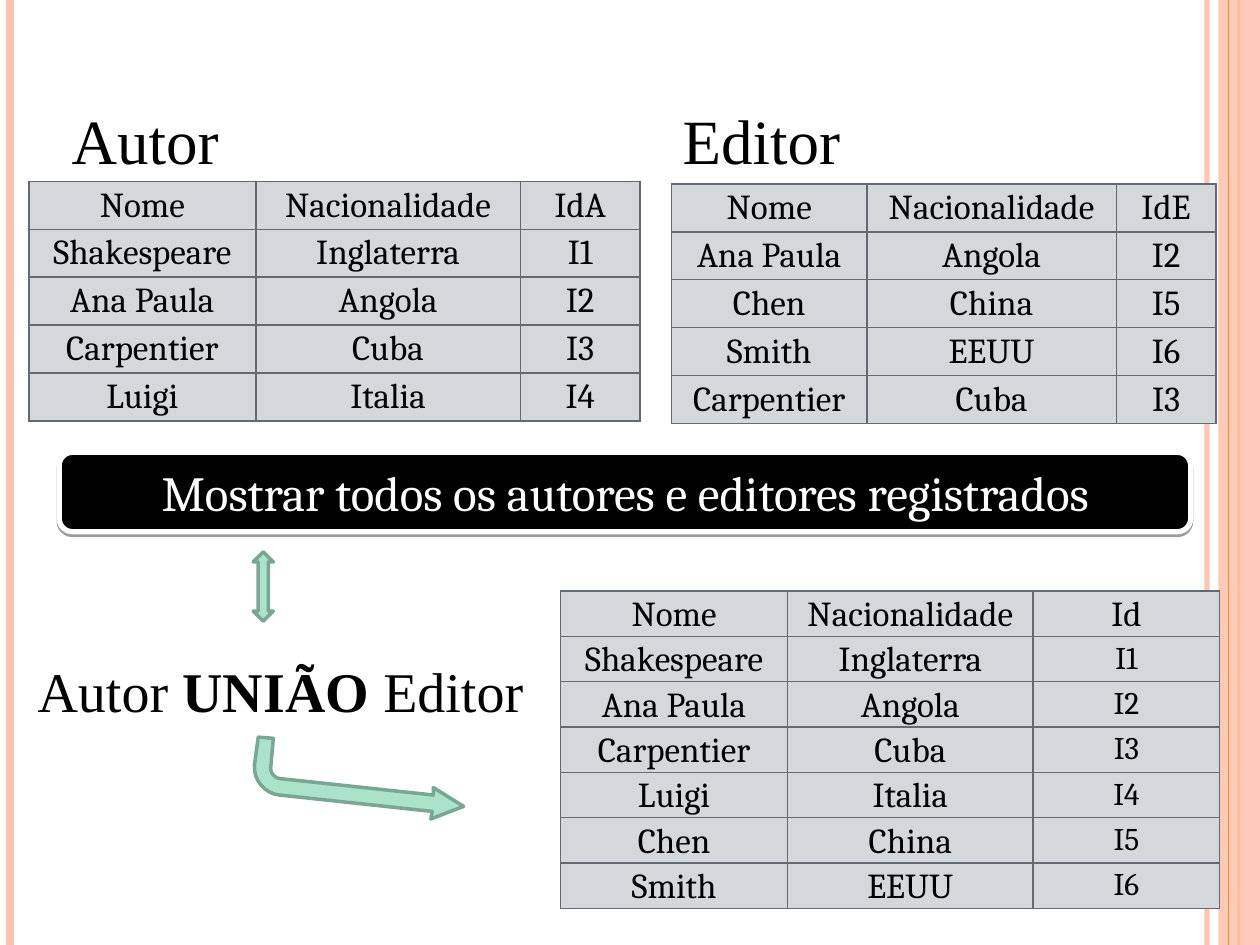
import lxml.etree
import pptx
import pptx.dml.color
import pptx.enum.shapes
import pptx.enum.text
import pptx.oxml.ns
import pptx.util

Inches = pptx.util.Inches
Pt = pptx.util.Pt
qn = pptx.oxml.ns.qn
Shape = pptx.enum.shapes.MSO_SHAPE
Align = pptx.enum.text.PP_ALIGN
Anchor = pptx.enum.text.MSO_ANCHOR

COLORS = {
    "stripe": "FEC3AE",
    "accent": "FE8637",
    "cell": "D5D8DB",
    "border": "636A74",
    "black": "000000",
    "white": "FFFFFF",
    "arrow": "AAE2CA",
    "arrow_edge": "7CA694",
}


def rgb(name):
    return pptx.dml.color.RGBColor.from_string(COLORS[name])


def child(parent, tag, **attributes):
    return lxml.etree.SubElement(
        parent, qn(tag), {key: str(value) for key, value in attributes.items()}
    )


def apply(target, values):
    for key, value in values.items():
        setattr(target, key, value)


def fade(element, percent):
    for color in element.iter(qn("a:srgbClr")):
        child(color, "a:alpha", val=percent * 1000)


def bezier(start, first, second, end, steps=8):
    weights = [step / steps for step in range(1, steps + 1)]
    return [
        tuple(
            (1 - t) ** 3 * a + 3 * (1 - t) ** 2 * t * b
            + 3 * (1 - t) * t ** 2 * c + t ** 3 * d
            for a, b, c, d in zip(start, first, second, end)
        )
        for t in weights
    ]


class SlideBuilder:
    serif = "Times New Roman"
    body = "Cambria"
    cell_margins = {
        "margin_left": Inches(0.05),
        "margin_right": Inches(0.05),
        "margin_top": Inches(0.06),
        "margin_bottom": Inches(0),
    }

    def __init__(self, slide):
        self.slide = slide

    def add_text(self, paragraph, text, size, font, color="black", bold=False):
        run = paragraph.add_run()
        run.text = text
        apply(run.font, {"size": Pt(size), "name": font, "bold": bold})
        run.font.color.rgb = rgb(color)

    def stripe(self, x, color, width, opacity=100):
        line = self.slide.shapes.add_connector(
            pptx.enum.shapes.MSO_CONNECTOR.STRAIGHT,
            Inches(x), Inches(0), Inches(x), Inches(7.5),
        )
        line.line.color.rgb = rgb(color)
        line.line.width = Pt(width)
        properties = line._element.spPr
        if opacity < 100:
            fade(properties, opacity)
        child(properties, "a:effectLst")

    def paint(self, shape, fill, edge=None, width=0):
        shape.shadow.inherit = False
        shape.fill.solid()
        shape.fill.fore_color.rgb = rgb(fill)
        if edge:
            shape.line.color.rgb = rgb(edge)
            shape.line.width = Pt(width)
        else:
            shape.line.fill.background()
        return shape

    def shape(self, kind, box, fill, edge=None, width=0):
        shape = self.slide.shapes.add_shape(kind, *map(Inches, box))
        return self.paint(shape, fill, edge, width)

    def outline(self, points, fill, edge, width):
        start, *rest = [tuple(map(Inches, point)) for point in points]
        builder = self.slide.shapes.build_freeform(*start)
        builder.add_line_segments(rest, close=True)
        return self.paint(builder.convert_to_shape(), fill, edge, width)

    def label(self, box, size, parts):
        frame = self.slide.shapes.add_textbox(*map(Inches, box)).text_frame
        frame.word_wrap = True
        for text, bold in parts:
            self.add_text(frame.paragraphs[0], text, size, self.serif, bold=bold)

    def banner(self, box, text):
        banner = self.shape(Shape.ROUNDED_RECTANGLE, box, "black", "white", 3)
        effects = banner._element.spPr.find(qn("a:effectLst"))
        shadow = child(effects, "a:outerShdw", blurRad=0, dist=Pt(1.6),
                       dir=90 * 60000, rotWithShape=0)
        child(shadow, "a:srgbClr", val=COLORS["black"])
        fade(shadow, 38)
        frame = banner.text_frame
        apply(frame, {"word_wrap": True, "vertical_anchor": Anchor.MIDDLE})
        frame.paragraphs[0].alignment = Align.CENTER
        self.add_text(frame.paragraphs[0], text, 28, self.body, "white")

    def cell(self, cell, text, size):
        apply(cell, self.cell_margins)
        properties = cell._tc.get_or_add_tcPr()
        for side in ("a:lnL", "a:lnR", "a:lnT", "a:lnB"):
            border = child(properties, side, w=Pt(1))
            child(child(border, "a:solidFill"), "a:srgbClr", val=COLORS["border"])
        cell.fill.solid()
        cell.fill.fore_color.rgb = rgb("cell")
        paragraph = cell.text_frame.paragraphs[0]
        apply(paragraph, {"alignment": Align.CENTER, "line_spacing": 0.87})
        self.add_text(paragraph, text, size, self.body)

    def table(self, left, top, widths, row_height, header, records, id_size=20):
        rows = [header, *records]
        table = self.slide.shapes.add_table(
            len(rows), len(widths), Inches(left), Inches(top),
            Inches(sum(widths)), Inches(row_height * len(rows)),
        ).table
        apply(table, {"first_row": False, "horz_banding": False})
        for column, width in zip(table.columns, widths):
            column.width = Inches(width)
        for r, row in enumerate(rows):
            table.rows[r].height = Inches(row_height)
            for c, text in enumerate(row):
                is_id = r > 0 and c == len(row) - 1
                self.cell(table.cell(r, c), text, id_size if is_id else 20)


def main():
    deck = pptx.Presentation()
    apply(deck, {"slide_width": Inches(10), "slide_height": Inches(7.5)})
    page = SlideBuilder(deck.slides.add_slide(deck.slide_layouts[6]))

    page.stripe(9.58, "stripe", 3, 93)
    page.stripe(0.08, "stripe", 4.5)
    page.stripe(9.83, "accent", 1.5)
    band = page.shape(Shape.RECTANGLE, (9.67, 0, 0.33, 7.5), "stripe")
    fade(band._element.spPr, 87)
    page.stripe(9.75, "accent", 0.75)

    authors = [
        ("Shakespeare", "Inglaterra", "I1"),
        ("Ana Paula", "Angola", "I2"),
        ("Carpentier", "Cuba", "I3"),
        ("Luigi", "Italia", "I4"),
    ]
    editors = [
        ("Ana Paula", "Angola", "I2"),
        ("Chen", "China", "I5"),
        ("Smith", "EEUU", "I6"),
        ("Carpentier", "Cuba", "I3"),
    ]
    union = authors + [editor for editor in editors if editor not in authors]
    fields = ("Nome", "Nacionalidade")

    page.table(0.23, 1.44, (1.8, 2.1, 0.95), 0.38, (*fields, "IdA"), authors)
    page.table(5.33, 1.46, (1.55, 1.98, 0.79), 0.38, (*fields, "IdE"), editors)
    page.label((0.47, 0.76, 1.85, 0.71), 36, [("Autor", False)])
    page.label((5.32, 0.76, 1.89, 0.71), 36, [("Editor", False)])
    page.banner((0.47, 3.59, 8.98, 0.63),
                "Mostrar todos os autores e editores registrados")
    page.table(4.45, 4.69, (1.8, 1.95, 1.48), 0.36, (*fields, "Id"), union, 18)
    page.label((0.2, 5.16, 4.33, 0.64), 32,
               [("Autor ", False), ("UNIÃO ", True), ("Editor", False)])

    outer_bend = bezier((2.02, 6.07), (2.01, 6.19), (2.1, 6.3), (2.22, 6.31))
    inner_bend = bezier((2.23, 6.18), (2.18, 6.18), (2.14, 6.13), (2.15, 6.08))
    arrow_head = [(3.43, 6.44), (3.42, 6.5), (3.68, 6.4), (3.44, 6.25), (3.44, 6.31)]
    page.outline(
        [(2.05, 5.85), (2.02, 6.07), *outer_bend, *arrow_head,
         (2.23, 6.18), *inner_bend, (2.17, 5.86)],
        "arrow", "arrow_edge", 2,
    )
    page.shape(Shape.UP_DOWN_ARROW, (2.01, 4.38, 0.16, 0.55),
               "arrow", "arrow_edge", 2)

    deck.save("out.pptx")


if __name__ == "__main__":
    main()
